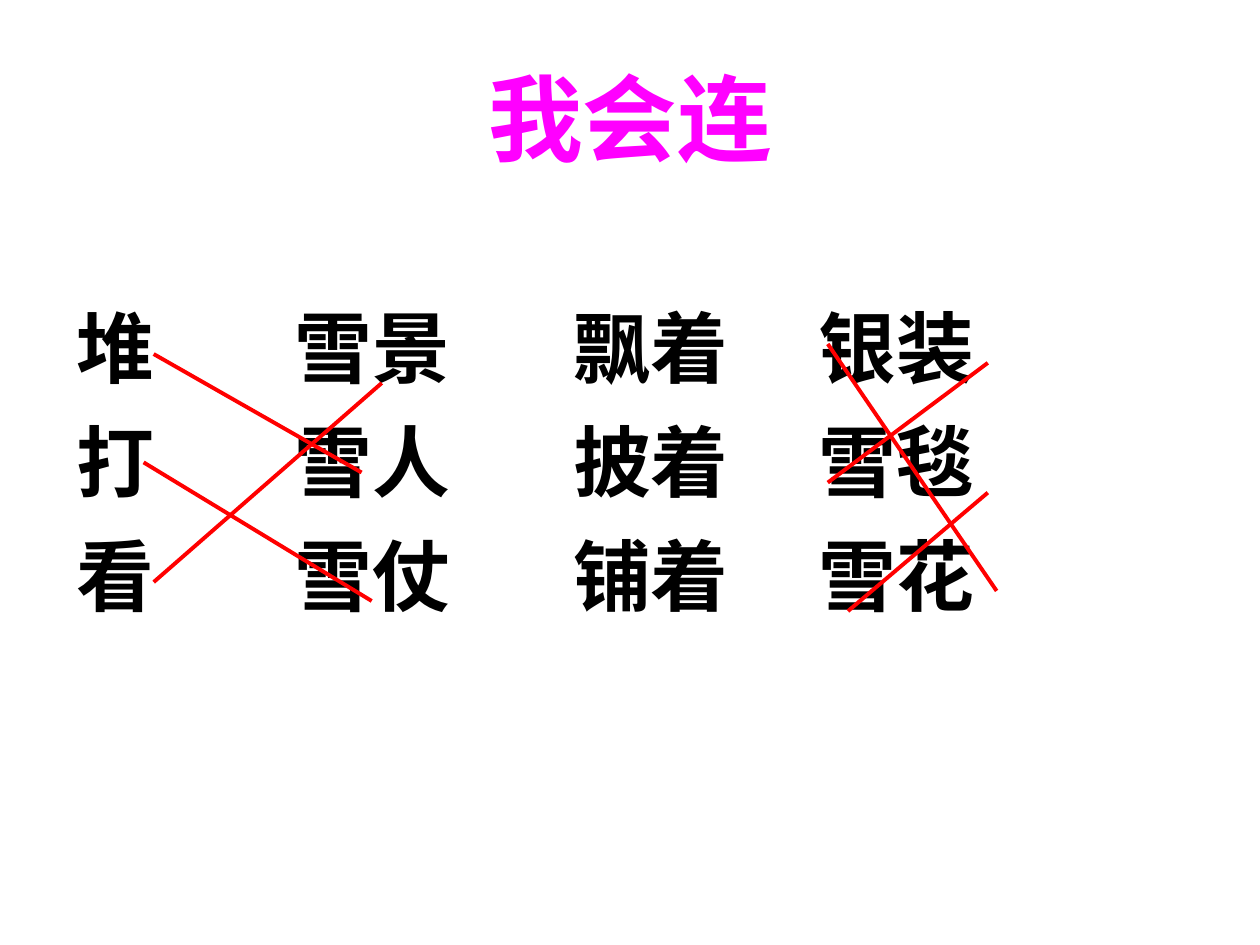
"""Build a word-matching exercise slide with answer lines."""
from dataclasses import dataclass

from lxml.etree import SubElement
from pptx import Presentation
from pptx.dml.color import RGBColor
from pptx.enum.shapes import MSO_CONNECTOR
from pptx.enum.text import MSO_ANCHOR, PP_ALIGN
from pptx.oxml.ns import qn
from pptx.slide import Slide
from pptx.text.text import TextFrame, _Paragraph
from pptx.util import Inches, Pt

MAGENTA = RGBColor(0xFF, 0x00, 0xFF)
BLACK = RGBColor(0x00, 0x00, 0x00)
RED = RGBColor(0xFF, 0x00, 0x00)
FONT = "Arial"
COLUMN_STOPS = (1.73, 3.94, 5.89)
WORD_ROWS = (
    ("堆", "雪景", "飘着", "银装"),
    ("打", "雪人", "披着", "雪毯"),
    ("看", "雪仗", "铺着", "雪花"),
)


@dataclass(frozen=True)
class Match:
    start: tuple[float, float]
    end: tuple[float, float]


MATCHES = (
    Match((1.22, 2.81), (2.87, 3.75)),
    Match((1.14, 3.67), (2.95, 4.77)),
    Match((1.22, 4.62), (3.03, 3.04)),
    Match((6.57, 2.73), (7.91, 4.69)),
    Match((6.57, 3.83), (7.84, 2.88)),
    Match((6.73, 4.85), (7.84, 3.91)),
)


def add_frame(slide: Slide, left: float, top: float, width: float, height: float) -> TextFrame:
    frame = slide.shapes.add_textbox(
        Inches(left), Inches(top), Inches(width), Inches(height)
    ).text_frame
    frame.word_wrap = True
    return frame


def add_words(paragraph: _Paragraph, words: str, size: float, color: RGBColor) -> None:
    run = paragraph.add_run()
    run.text = words
    run.font.name = FONT
    run.font.size = Pt(size)
    run.font.bold = True
    run.font.color.rgb = color


def add_column_stops(paragraph: _Paragraph) -> None:
    stops = SubElement(paragraph._p.get_or_add_pPr(), qn("a:tabLst"))
    for position in COLUMN_STOPS:
        SubElement(stops, qn("a:tab"), pos=str(Inches(position)), algn="l")


def draw_match(slide: Slide, match: Match) -> None:
    line = slide.shapes.add_connector(
        MSO_CONNECTOR.STRAIGHT, *map(Inches, match.start + match.end)
    )
    line.line.color.rgb = RED
    line.line.width = Pt(2.25)
    SubElement(line._element.spPr, qn("a:effectLst"))


def main() -> None:
    presentation = Presentation()
    presentation.slide_width = Inches(10)
    presentation.slide_height = Inches(7.5)
    slide = presentation.slides.add_slide(presentation.slide_layouts[6])

    title = add_frame(slide, 0.5, 0.3, 9, 1.25)
    title.vertical_anchor = MSO_ANCHOR.MIDDLE
    title.paragraphs[0].alignment = PP_ALIGN.CENTER
    add_words(title.paragraphs[0], "我会连", 54, MAGENTA)

    exercise = add_frame(slide, 0.51, 2.33, 9, 4.95)
    for index, words in enumerate(WORD_ROWS):
        row = exercise.add_paragraph() if index else exercise.paragraphs[0]
        row.space_before = Pt(12 if index else 0)
        add_column_stops(row)
        add_words(row, "\t".join(words), 44.4, BLACK)

    for match in MATCHES:
        draw_match(slide, match)

    presentation.save("out.pptx")


if __name__ == "__main__":
    main()
